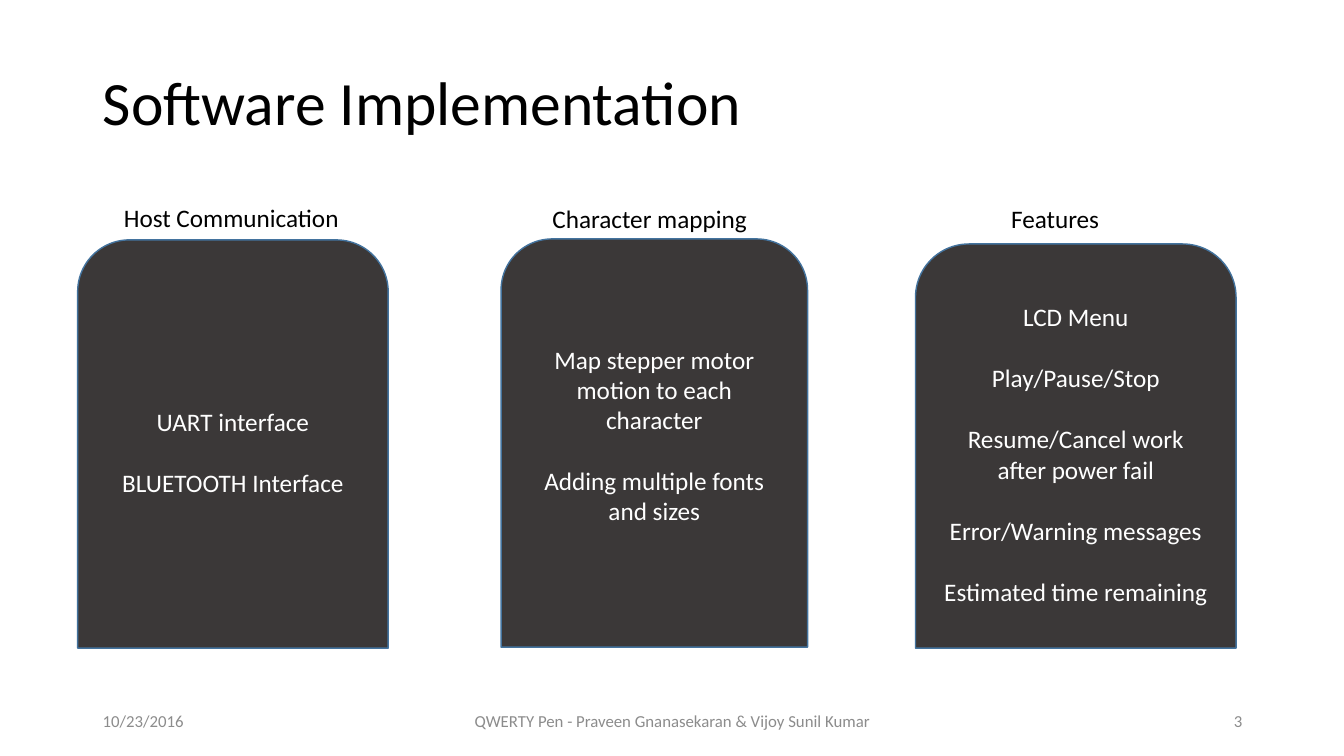
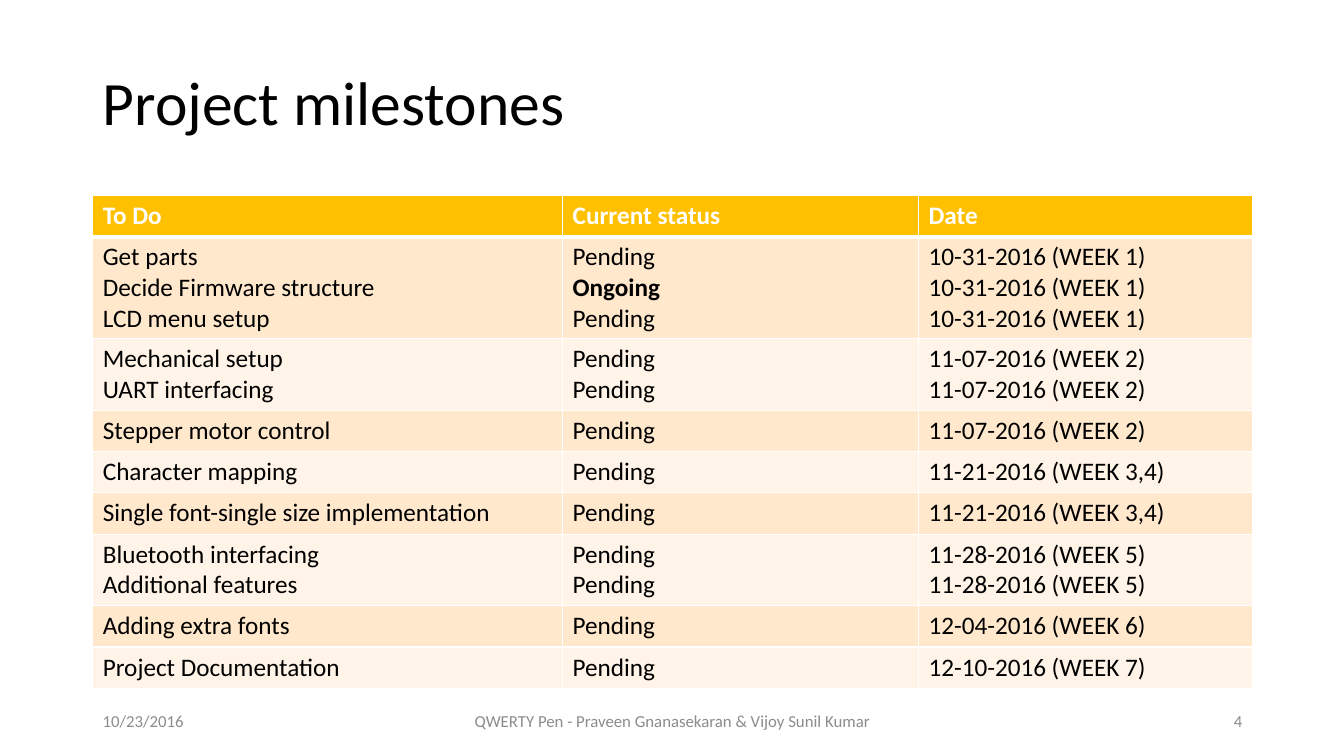
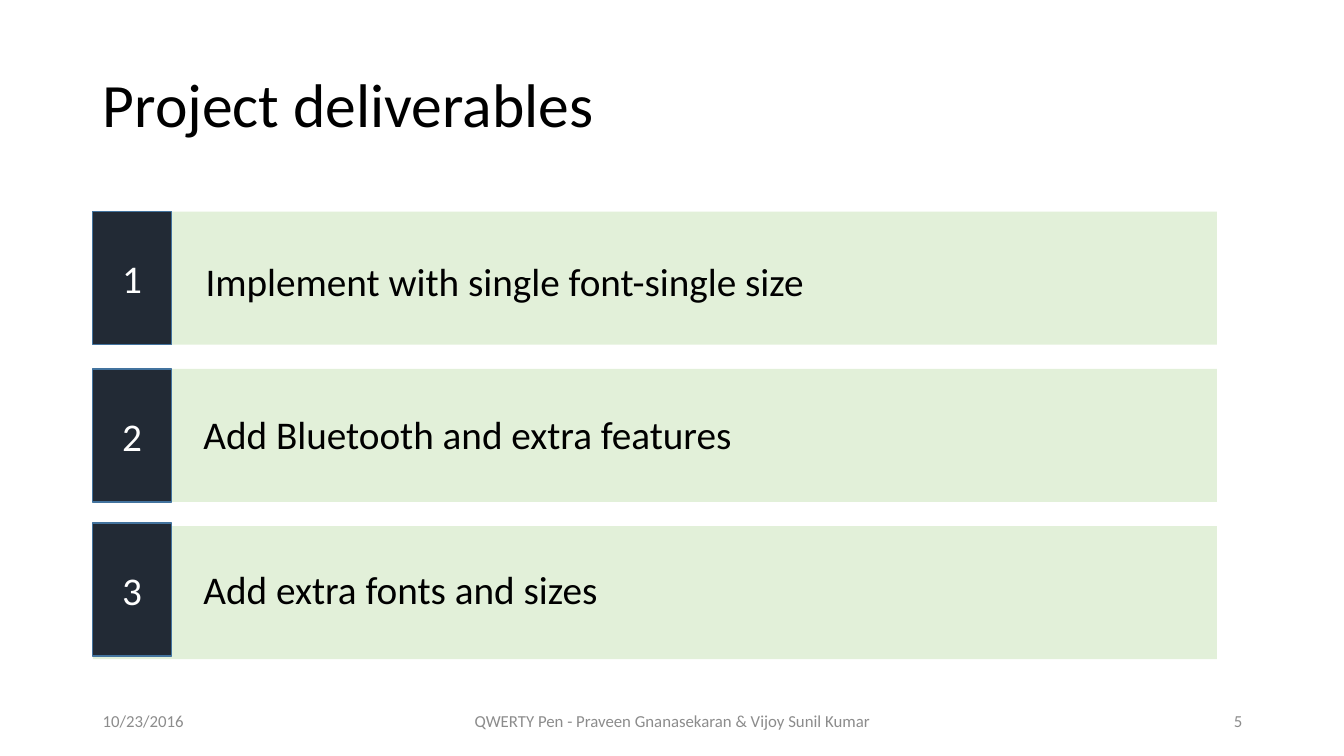
from dataclasses import dataclass
from typing import Sequence

import pptx
import pptx.dml.color
import pptx.enum.shapes
import pptx.enum.text
import pptx.oxml
import pptx.oxml.ns
import pptx.presentation
import pptx.shapes.autoshape
import pptx.slide
import pptx.table
import pptx.text.text
import pptx.util

Inches = pptx.util.Inches
Pt = pptx.util.Pt
RGBColor = pptx.dml.color.RGBColor
Align = pptx.enum.text.PP_ALIGN
Anchor = pptx.enum.text.MSO_ANCHOR
Preset = pptx.enum.shapes.MSO_SHAPE

BLACK = RGBColor(0x00, 0x00, 0x00)
WHITE = RGBColor(0xFF, 0xFF, 0xFF)
FOOTER_GREY = RGBColor(0x8C, 0x8C, 0x8C)
CARD_GREY = RGBColor(0x3B, 0x38, 0x38)
OUTLINE_BLUE = RGBColor(0x43, 0x73, 0x9E)
HEADER_GOLD = RGBColor(0xFF, 0xC0, 0x00)
ROW_TINTS = (RGBColor(0xFF, 0xE8, 0xCC), RGBColor(0xFF, 0xF4, 0xE7))
BAR_GREEN = RGBColor(0xE2, 0xF0, 0xD9)
BADGE_NAVY = RGBColor(0x22, 0x2A, 0x35)

FONT = "Calibri"
LEFT_MARGIN = 0.92
TITLE_ONLY_LAYOUT = 5
FIRST_SLIDE_NUMBER = 3


@dataclass(frozen=True)
class Box:
    left: float
    top: float
    width: float
    height: float

    def lengths(self) -> tuple[int, ...]:
        return tuple(Inches(n) for n in (self.left, self.top, self.width, self.height))


@dataclass(frozen=True)
class TextStyle:
    size: float
    color: RGBColor
    align: Align = Align.LEFT
    bold: bool = False
    space_before: float = 0


@dataclass(frozen=True)
class Workstream:
    heading: str
    heading_box: Box
    card_box: Box
    tasks: tuple[str, ...]
    bottom_inset: float = 0.05


@dataclass(frozen=True)
class Task:
    name: str
    status: str = "Pending"


@dataclass(frozen=True)
class Milestone:
    date: str
    tasks: tuple[Task, ...]


@dataclass(frozen=True)
class Deliverable:
    goal: str
    goal_left: float
    goal_top: float
    badge_top: float


TITLE_STYLE = TextStyle(44, BLACK)
HEADING_STYLE = TextStyle(18, BLACK)
CARD_STYLE = TextStyle(18, WHITE, Align.CENTER, space_before=22)
HEADER_STYLE = TextStyle(18, WHITE, bold=True)
CELL_STYLE = TextStyle(18, BLACK)
ACTIVE_STYLE = TextStyle(18, BLACK, bold=True)
BADGE_STYLE = TextStyle(28, WHITE, Align.CENTER)
GOAL_STYLE = TextStyle(28, BLACK)

WORKSTREAMS = (
    Workstream(
        "Host Communication", Box(1.13, 1.96, 2.38, 0.4), Box(0.77, 2.38, 3.08, 4.05),
        ("UART interface", "BLUETOOTH Interface"),
    ),
    Workstream(
        "Character mapping", Box(5.38, 1.97, 2.38, 0.4), Box(4.97, 2.37, 3.04, 4.05),
        ("Map stepper motor motion to each character", "Adding multiple fonts and sizes"),
        bottom_inset=0.36,
    ),
    Workstream(
        "Features", Box(9.93, 1.97, 1.3, 0.4), Box(9.08, 2.42, 3.18, 4.01),
        ("LCD Menu", "Play/Pause/Stop", "Resume/Cancel work after power fail",
         "Error/Warning messages", "Estimated time remaining"),
    ),
)

TABLE_HEADINGS = ("To Do", "Current status", "Date")
COLUMN_WIDTHS = (4.66, 3.53, 3.31)
MILESTONES = (
    Milestone("10-31-2016 (WEEK 1)", (
        Task("Get parts"), Task("Decide Firmware structure", "Ongoing"), Task("LCD menu setup"))),
    Milestone("11-07-2016 (WEEK 2)", (Task("Mechanical setup"), Task("UART interfacing"))),
    Milestone("11-07-2016 (WEEK 2)", (Task("Stepper motor control"),)),
    Milestone("11-21-2016 (WEEK 3,4)", (Task("Character mapping"),)),
    Milestone("11-21-2016 (WEEK 3,4)", (Task("Single font-single size implementation"),)),
    Milestone("11-28-2016 (WEEK 5)", (Task("Bluetooth interfacing"), Task("Additional features"))),
    Milestone("12-04-2016 (WEEK 6)", (Task("Adding extra fonts"),)),
    Milestone("12-10-2016 (WEEK 7)", (Task("Project Documentation"),)),
)

DELIVERABLES = (
    Deliverable("Implement with single font-single size", 1.94, 2.5, 2.1),
    Deliverable("Add Bluetooth and extra features", 1.92, 4.02, 3.66),
    Deliverable("Add extra fonts and sizes", 1.92, 5.56, 5.19),
)
BAR_TOP, BAR_PITCH, BAR_HEIGHT = 2.1, 1.56, 1.32


def write_lines(frame: pptx.text.text.TextFrame, lines: Sequence[str], style: TextStyle) -> None:
    for index, line in enumerate(lines):
        paragraph = frame.add_paragraph() if index else frame.paragraphs[0]
        paragraph.alignment = style.align
        if index and style.space_before:
            paragraph.space_before = Pt(style.space_before)
        run = paragraph.add_run()
        run.text = line
        run.font.name = FONT
        run.font.size = Pt(style.size)
        run.font.bold = style.bold or line == "Ongoing"
        run.font.color.rgb = style.color


def add_label(slide: pptx.slide.Slide, box: Box, text: str, style: TextStyle,
              anchor: Anchor = Anchor.TOP) -> None:
    frame = slide.shapes.add_textbox(*box.lengths()).text_frame
    frame.word_wrap = True
    frame.vertical_anchor = anchor
    write_lines(frame, (text,), style)


def add_panel(slide: pptx.slide.Slide, preset: Preset, box: Box, fill: RGBColor,
              outline: RGBColor | None = None) -> pptx.shapes.autoshape.Shape:
    panel = slide.shapes.add_shape(preset, *box.lengths())
    panel.shadow.inherit = False
    panel.fill.solid()
    panel.fill.fore_color.rgb = fill
    if outline is None:
        panel.line.fill.background()
    else:
        panel.line.color.rgb = outline
        panel.line.width = Pt(1)
    panel.text_frame.word_wrap = True
    panel.text_frame.vertical_anchor = Anchor.MIDDLE
    return panel


def add_titled_slide(deck: pptx.presentation.Presentation, title: str,
                     title_top: float = 0.32) -> pptx.slide.Slide:
    slide = deck.slides.add_slide(deck.slide_layouts[TITLE_ONLY_LAYOUT])
    heading = slide.shapes.title
    heading.left, heading.top, heading.width, heading.height = Box(
        LEFT_MARGIN, title_top, 11.5, 1.45).lengths()
    frame = heading.text_frame
    frame.auto_size = pptx.enum.text.MSO_AUTO_SIZE.NONE
    frame.vertical_anchor = Anchor.MIDDLE
    write_lines(frame, (title,), TITLE_STYLE)
    frame.paragraphs[0].line_spacing = 0.9

    number = FIRST_SLIDE_NUMBER + len(deck.slides) - 1
    for left, width, text, align in (
        (LEFT_MARGIN, 3, "10/23/2016", Align.LEFT),
        (4.42, 4.5, "QWERTY Pen - Praveen Gnanasekaran & Vijoy Sunil Kumar", Align.CENTER),
        (9.42, 3, str(number), Align.RIGHT),
    ):
        add_label(slide, Box(left, 6.95, width, 0.4), text,
                  TextStyle(12, FOOTER_GREY, align), Anchor.MIDDLE)
    return slide


def add_cell_border(cell: pptx.table._Cell, side: str, points: float) -> None:
    properties = cell._tc.get_or_add_tcPr()
    properties.append(pptx.oxml.parse_xml(
        f'<a:ln{side} {pptx.oxml.ns.nsdecls("a")} w="{Pt(points)}">'
        f'<a:solidFill><a:srgbClr val="{WHITE}"/></a:solidFill></a:ln{side}>'))


def fill_row(table: pptx.table.Table, row: int, columns: Sequence[Sequence[str]],
             fill: RGBColor, style: TextStyle) -> None:
    table.rows[row].height = Inches(0.11 + 0.3 * len(columns[0]))
    for column, lines in enumerate(columns):
        cell = table.cell(row, column)
        for side in "LRTB":
            header_edge = (row, side) in ((0, "B"), (1, "T"))
            add_cell_border(cell, side, 3 if header_edge else 1)
        cell.fill.solid()
        cell.fill.fore_color.rgb = fill
        write_lines(cell.text_frame, lines, style)


def build_software(deck: pptx.presentation.Presentation) -> None:
    slide = add_titled_slide(deck, "Software Implementation")
    for stream in WORKSTREAMS:
        card = add_panel(slide, Preset.ROUND_2_SAME_RECTANGLE, stream.card_box,
                         CARD_GREY, OUTLINE_BLUE)
        card.text_frame.margin_bottom = Inches(stream.bottom_inset)
        write_lines(card.text_frame, stream.tasks, CARD_STYLE)
        add_label(slide, stream.heading_box, stream.heading, HEADING_STYLE)


def build_milestones(deck: pptx.presentation.Presentation) -> None:
    slide = add_titled_slide(deck, "Project milestones")
    table = slide.shapes.add_table(
        len(MILESTONES) + 1, len(TABLE_HEADINGS),
        *Box(LEFT_MARGIN, 1.94, 11.5, 4.83).lengths()).table
    table.horz_banding = False
    for column, width in zip(table.columns, COLUMN_WIDTHS):
        column.width = Inches(width)
    fill_row(table, 0, [(heading,) for heading in TABLE_HEADINGS], HEADER_GOLD, HEADER_STYLE)
    for row, milestone in enumerate(MILESTONES, start=1):
        names = [task.name for task in milestone.tasks]
        statuses = [task.status for task in milestone.tasks]
        dates = [milestone.date] * len(names)
        fill_row(table, row, (names, statuses, dates), ROW_TINTS[(row - 1) % 2], CELL_STYLE)


def build_deliverables(deck: pptx.presentation.Presentation) -> None:
    slide = add_titled_slide(deck, "Project deliverables", title_top=0.34)
    for index, deliverable in enumerate(DELIVERABLES):
        bar_top = BAR_TOP + index * BAR_PITCH
        add_panel(slide, Preset.RECTANGLE,
                  Box(LEFT_MARGIN, bar_top, 11.15, BAR_HEIGHT), BAR_GREEN)
        badge = add_panel(slide, Preset.RECTANGLE,
                          Box(LEFT_MARGIN, deliverable.badge_top, 0.78, BAR_HEIGHT),
                          BADGE_NAVY, OUTLINE_BLUE)
        write_lines(badge.text_frame, (str(index + 1),), BADGE_STYLE)
        add_label(slide, Box(deliverable.goal_left, deliverable.goal_top, 9.63, 0.57),
                  deliverable.goal, GOAL_STYLE)


def main() -> None:
    deck = pptx.Presentation()
    deck.slide_width = Inches(13.33)
    deck.slide_height = Inches(7.5)
    build_software(deck)
    build_milestones(deck)
    build_deliverables(deck)
    deck.save("out.pptx")


if __name__ == "__main__":
    main()
